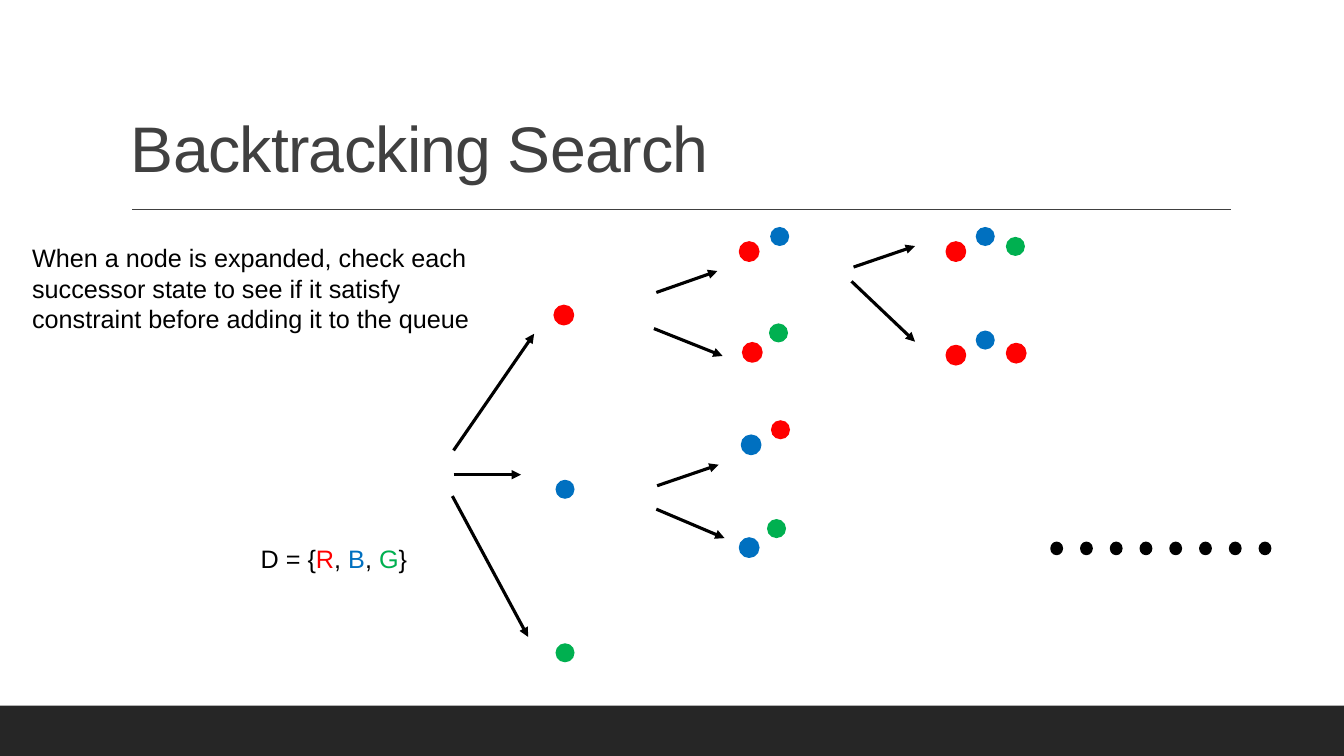
import pptx
import pptx.dml.color
import pptx.enum.shapes
import pptx.enum.text
import pptx.oxml
import pptx.oxml.ns
import pptx.util

Cm = pptx.util.Cm
Pt = pptx.util.Pt
RGBColor = pptx.dml.color.RGBColor
Shape = pptx.enum.shapes.MSO_SHAPE
Anchor = pptx.enum.text.MSO_ANCHOR

RED = RGBColor(0xFF, 0x00, 0x00)
BLUE = RGBColor(0x00, 0x70, 0xC0)
GREEN = RGBColor(0x00, 0xB0, 0x50)
BLACK = RGBColor(0x00, 0x00, 0x00)
GREY = RGBColor(0x40, 0x40, 0x40)
CHARCOAL = RGBColor(0x26, 0x26, 0x26)

DOT = 0.48
NODES = [
    [(13.97, 7.7, RED, True)],
    [(14, 12.09, BLUE, False)],
    [(14, 16.21, GREEN, False)],
    [(18.64, 6.1, RED, True), (19.41, 5.72, BLUE, False)],
    [(18.72, 8.64, RED, True), (19.38, 8.15, GREEN, False)],
    [(18.69, 10.97, BLUE, True), (19.43, 10.59, RED, False)],
    [(18.64, 13.56, BLUE, True), (19.33, 13.08, GREEN, False)],
    [(23.85, 6.1, RED, True), (24.59, 5.72, BLUE, False), (25.35, 5.97, GREEN, False)],
    [(23.85, 8.71, RED, True), (24.59, 8.33, BLUE, False), (25.37, 8.66, RED, True)],
]
BRANCHES = [
    (11.43, 11.35, 13.46, 8.41),
    (11.43, 11.96, 13.13, 11.96),
    (11.4, 12.5, 13.31, 16.05),
    (16.54, 7.37, 18.08, 6.83),
    (16.48, 8.28, 18.21, 8.97),
    (16.56, 12.24, 18.11, 11.71),
    (16.54, 12.83, 18.26, 13.56),
    (21.51, 6.73, 23.06, 6.2),
    (21.46, 7.09, 23.06, 8.61),
]
DOMAIN = [("D = {", BLACK), ("R", RED), (", ", BLACK), ("B", BLUE),
          (", ", BLACK), ("G", GREEN), ("}", BLACK)]
ADVICE = ("When a node is expanded, check each successor state to see if it "
          "satisfy constraint before adding it to the queue")


def apply_format(target, values):
    """Set every attribute named in values on target."""
    for name, value in values.items():
        setattr(target, name, value)


def add_filled(shapes, kind, place, color, outlined=False):
    """Add a preset shape in one colour, with or without an outline."""
    shape = shapes.add_shape(kind, *map(Cm, place))
    shape.shadow.inherit = False
    shape.fill.solid()
    shape.fill.fore_color.rgb = color
    if outlined:
        shape.line.color.rgb = color
        shape.line.width = Pt(1.25)
    else:
        shape.line.fill.background()
    return shape


def add_node(page, dots):
    """Add a search state as a group of coloured dots."""
    group = page.shapes.add_group_shape()
    for left, top, color, outlined in dots:
        add_filled(group.shapes, Shape.OVAL, (left, top, DOT, DOT), color, outlined)


def add_line(page, ends, color, width, arrow=False):
    """Add a straight line, with an arrowhead at its end if asked."""
    line = page.shapes.add_connector(
        pptx.enum.shapes.MSO_CONNECTOR.STRAIGHT, *map(Cm, ends))
    line.line.color.rgb = color
    line.line.width = Pt(width)
    if arrow:
        pptx.oxml.ns.qn("a:tailEnd")
        head = pptx.oxml.parse_xml(
            f'<a:tailEnd {pptx.oxml.ns.nsdecls("a")} type="triangle"/>')
        line.line._get_or_add_ln().append(head)
    line._element.spPr.append(
        pptx.oxml.parse_xml(f'<a:effectLst {pptx.oxml.ns.nsdecls("a")}/>'))


def add_text(page, place, spans, size, frame_format, para_format=None, spacing=None):
    """Add a text box holding one paragraph of coloured spans."""
    box = page.shapes.add_textbox(*map(Cm, place))
    apply_format(box.text_frame, frame_format)
    para = box.text_frame.paragraphs[0]
    apply_format(para, para_format or {})
    for text, color in spans:
        span = para.add_run()
        span.text = text
        apply_format(span.font, {"name": "Arial", "size": Pt(size)})
        span.font.color.rgb = color
        if spacing is not None:
            span.font._element.set("spc", str(spacing))


def main():
    """Build the slide and save it."""
    deck = pptx.Presentation()
    apply_format(deck, {"slide_width": Cm(33.87), "slide_height": Cm(19.05)})
    page = deck.slides.add_slide(deck.slide_layouts[6])
    add_filled(page.shapes, Shape.RECTANGLE, (0, 17.78, 33.87, 1.27), CHARCOAL)
    add_line(page, (3.33, 5.28, 31.01, 5.28), GREY, 1)
    add_text(page, (3.05, 0.79, 27.94, 4.04), [("Backtracking Search", GREY)], 46,
             {"word_wrap": True, "vertical_anchor": Anchor.BOTTOM},
             {"line_spacing": 0.9}, -50)
    add_text(page, (6.32, 13.56, 4.24, 1.02), DOMAIN, 18, {"word_wrap": False})
    add_text(page, (0.56, 5.99, 11.91, 2.57), [(ADVICE, BLACK)], 18,
             {"word_wrap": True})
    for dots in NODES:
        add_node(page, dots)
    for ends in BRANCHES:
        add_line(page, ends, BLACK, 2.25, arrow=True)
    for step in range(8):
        place = (26.49 + 0.75 * step, 13.67, 0.28, 0.3)
        add_filled(page.shapes, Shape.OVAL, place, BLACK, True)
    deck.save("out.pptx")


if __name__ == "__main__":
    main()
